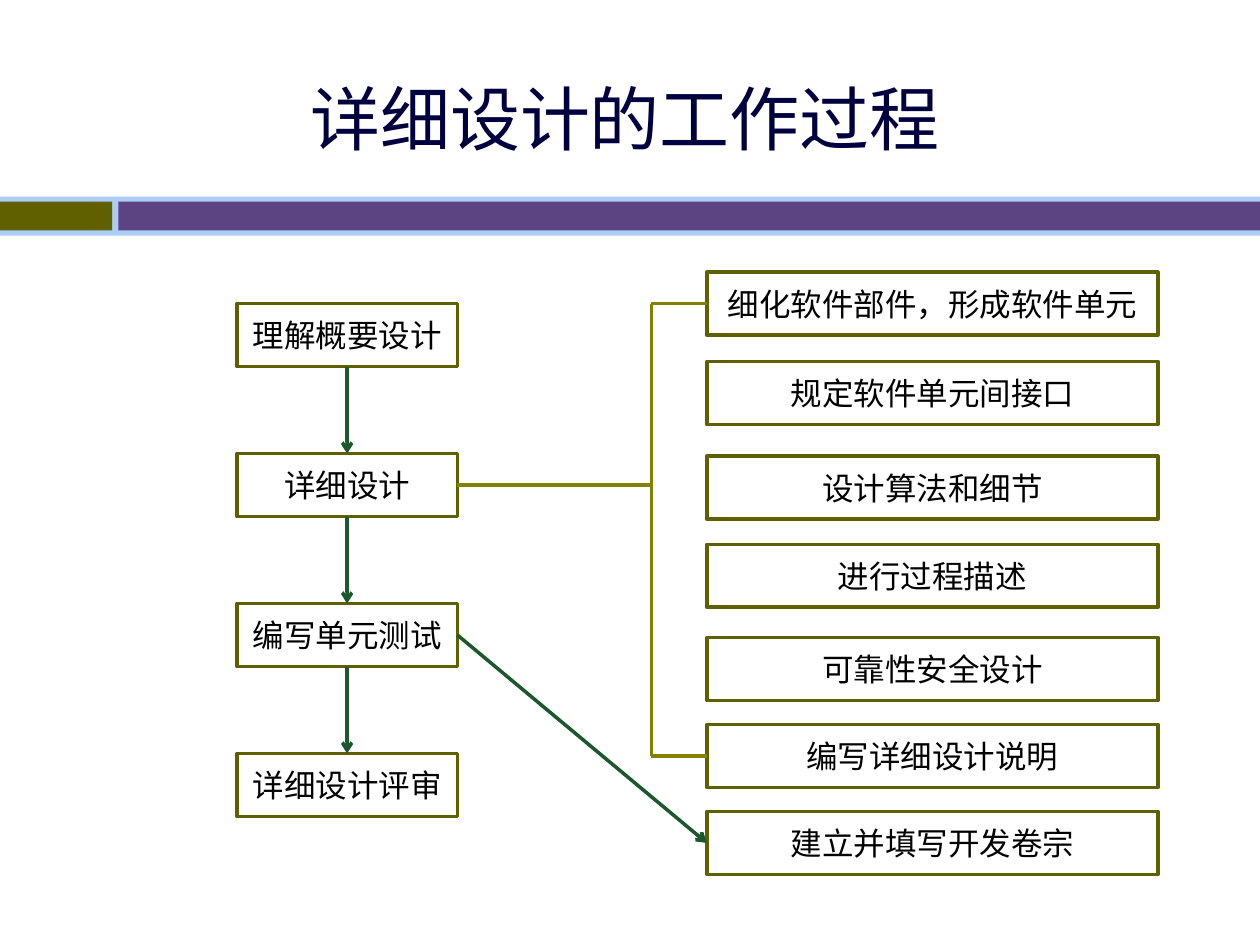
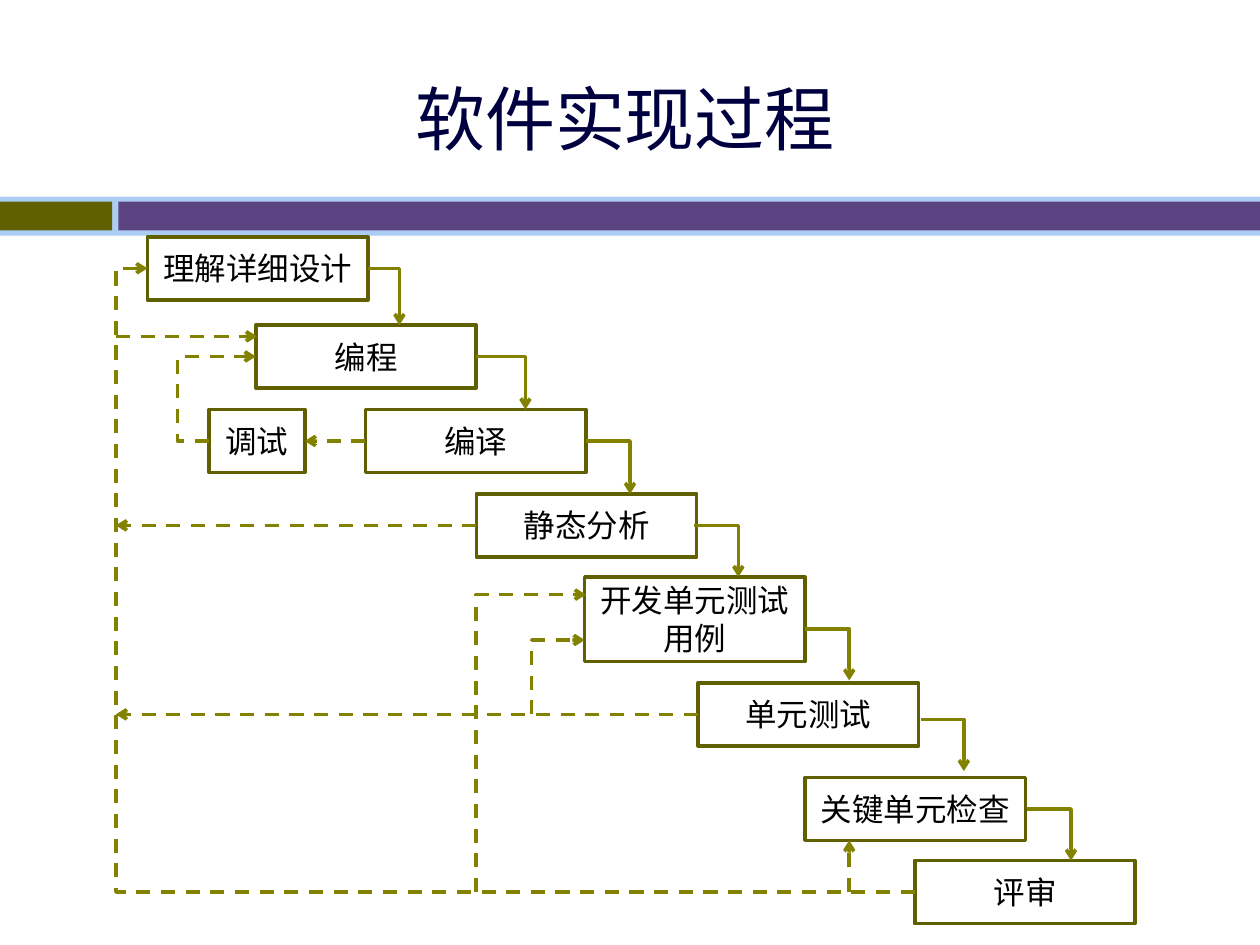
from dataclasses import dataclass

from pptx import Presentation
from pptx.dml.color import RGBColor
from pptx.enum.dml import MSO_LINE
from pptx.enum.shapes import MSO_CONNECTOR, MSO_SHAPE
from pptx.enum.text import MSO_ANCHOR, PP_ALIGN
from pptx.oxml.ns import qn
from pptx.util import Inches, Pt
from lxml.etree import SubElement


@dataclass(frozen=True)
class Theme:
    title: RGBColor = RGBColor.from_string("000040")
    text: RGBColor = RGBColor.from_string("000000")
    band: RGBColor = RGBColor.from_string("ABCDF4")
    olive: RGBColor = RGBColor.from_string("606000")
    purple: RGBColor = RGBColor.from_string("5C4381")
    link: RGBColor = RGBColor.from_string("828200")
    flow: RGBColor = RGBColor.from_string("1B582B")
    title_font: str = "Calibri"
    box_font: str = "Noto Sans CJK SC"
    title_size: Pt = Pt(40)
    box_size: Pt = Pt(18)
    line_width: Pt = Pt(2)


theme = Theme()
TOP, LEFT, BOTTOM, RIGHT = range(4)
BOX_HEIGHT = 0.5


def add_box(page, text, left, top, width, height=BOX_HEIGHT):
    box = page.shapes.add_shape(MSO_SHAPE.RECTANGLE, Inches(left), Inches(top),
                                Inches(width), Inches(height))
    box.shadow.inherit = False
    box.fill.background()
    box.line.color.rgb = theme.olive
    box.line.width = theme.line_width
    frame = box.text_frame
    frame.word_wrap = True
    frame.vertical_anchor = MSO_ANCHOR.MIDDLE
    paragraph = frame.paragraphs[0]
    paragraph.text = text
    paragraph.alignment = PP_ALIGN.CENTER
    paragraph.font.name = theme.box_font
    paragraph.font.size = theme.box_size
    paragraph.font.color.rgb = theme.text
    return box


def connect(page, start, end, color=theme.link, via=None, arrow=True, dash=False):
    """Link two ends, each an (x, y) point or a (box, side) pair.

    via is the x of the upright part of a bent line between two points.
    """
    joined = [not isinstance(place[0], (int, float)) for place in (start, end)]
    x1, y1 = (0, 0) if joined[0] else start
    x2, y2 = (0, 0) if joined[1] else end
    kind = MSO_CONNECTOR.STRAIGHT if via is None else MSO_CONNECTOR.ELBOW
    line = page.shapes.add_connector(kind, Inches(x1), Inches(y1), Inches(x2), Inches(y2))
    if joined[0]:
        line.begin_connect(*start)
    if joined[1]:
        line.end_connect(*end)
    line.line.color.rgb = color
    line.line.width = theme.line_width
    if dash:
        line.line.dash_style = MSO_LINE.DASH
    properties = line._element.spPr
    if arrow:
        SubElement(properties.find(qn("a:ln")), qn("a:tailEnd"), type="arrow")
    if via is not None:
        geometry = properties.find(qn("a:prstGeom"))
        if via == x2:
            geometry.set("prst", "bentConnector2")
        else:
            bend = round((via - x1) / (x2 - x1) * 100000)
            guides = geometry.find(qn("a:avLst"))
            SubElement(guides, qn("a:gd"), name="adj1", fmla=f"val {bend}")
    SubElement(properties, qn("a:effectLst"))
    return line


deck = Presentation()
deck.slide_width = Inches(10)
deck.slide_height = Inches(7.5)

# Shared bands and titles
bands = [
    (0, 1.56, 10, 0.31, theme.band),
    (0, 1.6, 0.89, 0.23, theme.olive),
    (0.94, 1.6, 9.06, 0.23, theme.purple),
]
pages = []
for title in ("详细设计的工作过程", "软件实现过程"):
    page = deck.slides.add_slide(deck.slide_layouts[6])
    for left, top, width, height, color in bands:
        band = page.shapes.add_shape(MSO_SHAPE.RECTANGLE, Inches(left), Inches(top),
                                     Inches(width), Inches(height))
        band.shadow.inherit = False
        band.fill.solid()
        band.fill.fore_color.rgb = color
        band.line.fill.background()
    title_box = page.shapes.add_textbox(Inches(0), Inches(0.31), Inches(9.92), Inches(1.25))
    title_box.text_frame.word_wrap = True
    title_box.text_frame.vertical_anchor = MSO_ANCHOR.MIDDLE
    paragraph = title_box.text_frame.paragraphs[0]
    paragraph.text = title
    paragraph.alignment = PP_ALIGN.CENTER
    paragraph.font.name = theme.title_font
    paragraph.font.size = theme.title_size
    paragraph.font.color.rgb = theme.title
    pages.append(page)
design_page, build_page = pages

# Detailed design: main steps on the left, their tasks on the right
steps = [
    add_box(design_page, text, 1.88, 2.41 + 1.19 * index, 1.75)
    for index, text in enumerate(("理解概要设计", "详细设计", "编写单元测试", "详细设计评审"))
]
for upper, lower in zip(steps, steps[1:]):
    connect(design_page, (upper, BOTTOM), (lower, TOP), theme.flow)

tasks = [
    add_box(design_page, text, 5.61, top, 3.58)
    for text, top in (
        ("细化软件部件，形成软件单元", 2.16),
        ("规定软件单元间接口", 2.87),
        ("设计算法和细节", 3.62),
        ("进行过程描述", 4.32),
        ("可靠性安全设计", 5.06),
        ("编写详细设计说明", 5.75),
        ("建立并填写开发卷宗", 6.44),
    )
]
bracket_x, bracket_top, bracket_bottom = 5.17, 2.41, 6
for start, end in (
    ((tasks[0], LEFT), (bracket_x, bracket_top)),
    ((tasks[5], LEFT), (bracket_x, bracket_bottom)),
    ((bracket_x, bracket_top), (bracket_x, bracket_bottom)),
    ((steps[1], RIGHT), (bracket_x, 3.85)),
):
    connect(design_page, start, end, arrow=False)
connect(design_page, (steps[2], RIGHT), (tasks[6], LEFT), theme.flow)

# Implementation: a staircase of stages
stages = {
    text: add_box(build_page, text, left, top, 1.75, height)
    for text, left, top, height in (
        ("理解详细设计", 1.17, 1.88, BOX_HEIGHT),
        ("编程", 2.03, 2.58, BOX_HEIGHT),
        ("编译", 2.9, 3.25, BOX_HEIGHT),
        ("静态分析", 3.78, 3.92, BOX_HEIGHT),
        ("开发单元测试用例", 4.64, 4.58, 0.67),
        ("单元测试", 5.54, 5.42, BOX_HEIGHT),
        ("关键单元检查", 6.39, 6.17, BOX_HEIGHT),
        ("评审", 7.26, 6.83, BOX_HEIGHT),
    )
}
for start, end in (
    ((2.92, 2.13), (3.17, 2.58)),
    ((3.78, 2.83), (4.17, 3.25)),
    ((4.65, 3.5), (5, 3.92)),
    ((5.51, 4.17), (5.86, 4.58)),
    ((6.39, 4.99), (6.74, 5.4)),
    ((7.31, 5.71), (7.65, 6.12)),
    ((8.15, 6.42), (8.5, 6.83)),
):
    connect(build_page, start, end, via=end[0])

# Dashed feedback paths
debugging = add_box(build_page, "调试", 1.66, 3.25, 0.76)
return_x, review_y = 0.92, 7.08
for start, end, via in (
    ((stages["编译"], LEFT), (debugging, RIGHT), None),
    ((1.66, 3.5), (2.03, 2.83), 1.41),
    ((7.26, review_y), (1.17, 2.13), return_x),
    ((6.74, review_y), (6.74, 6.67), None),
    ((stages["单元测试"], LEFT), (return_x, 5.67), None),
    ((3.78, review_y), (4.65, 4.72), 3.78),
    ((4.22, 5.67), (4.64, 5.08), 4.22),
    ((return_x, 2.67), (2.04, 2.67), None),
    ((stages["静态分析"], LEFT), (return_x, 4.17), None),
):
    connect(build_page, start, end, via=via, dash=True)

deck.save("out.pptx")
